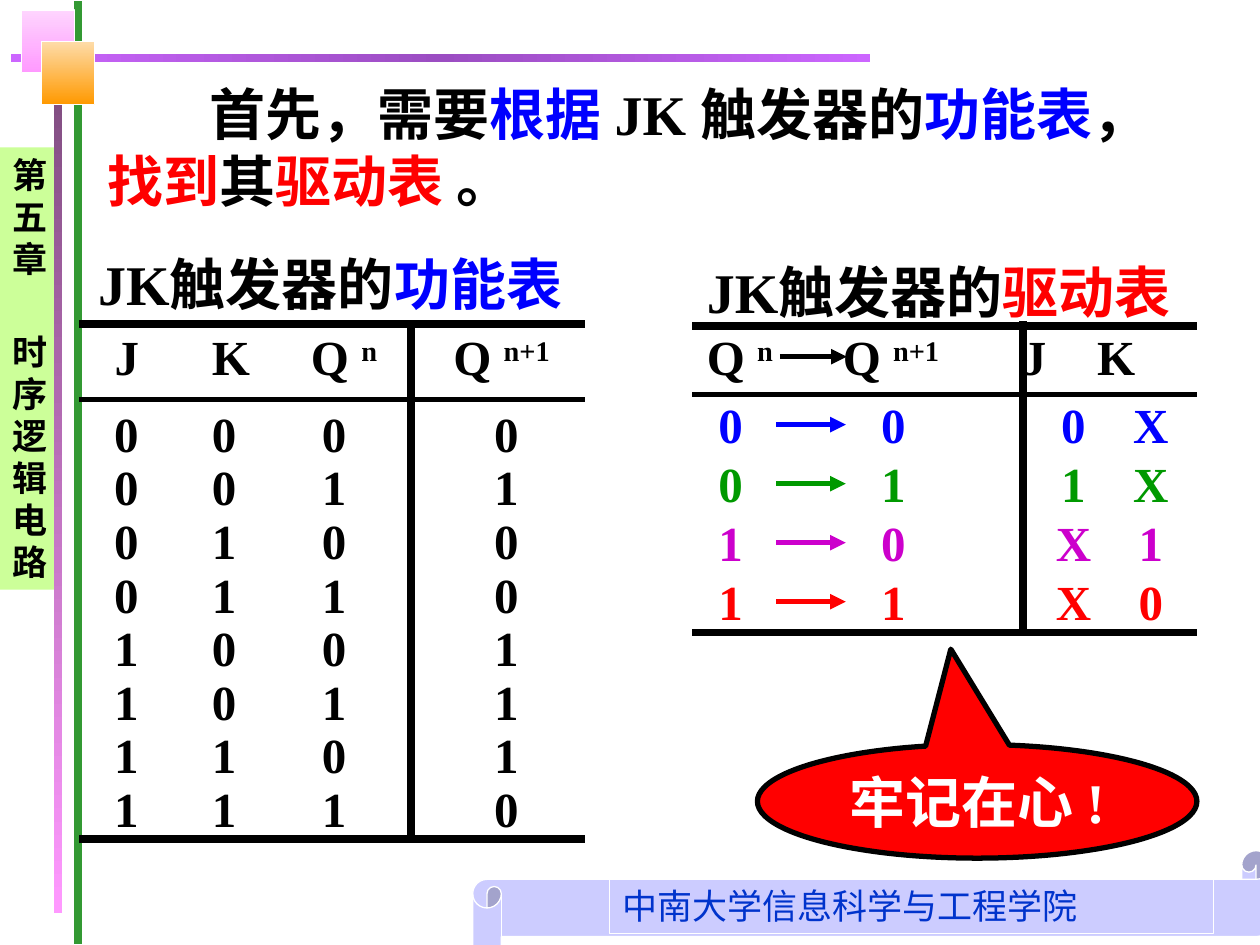
from dataclasses import dataclass, field
from copy import deepcopy
from typing import Any, Optional

from lxml import etree
from pptx import Presentation
from pptx import util as u
from pptx.dml import color as col
from pptx.enum import shapes as sh
from pptx.enum import text as tx
from pptx.oxml.ns import qn

Cm = u.Cm
Box = tuple[float, float, float, float]


@dataclass(frozen=True)
class Theme:
    face: str = "Times New Roman"
    sans: str = "Noto Sans CJK SC"
    black: str = "000000"
    white: str = "FFFFFF"
    blue: str = "0000FF"
    red: str = "FF0000"
    green: str = "009900"
    plum: str = "CC00CC"
    navy: str = "0033CC"
    leaf: str = "339933"
    lime: str = "CCFF99"
    mist: str = "CCCCFF"
    pink: tuple = ("FED5FE", "FF99FF")
    gold: tuple = ("FEDCA9", "FF9900")
    dusk: tuple = ("754675", "FF99FF")
    band: tuple = ("CC66FF", "9B4DC2", "CC66FF")
    head: int = 32
    body: int = 28
    small: int = 20
    thick: float = 4.5
    thin: float = 3
    hair: float = 0.75


T = Theme()


@dataclass
class Bit:
    text: str
    color: str = T.black
    sup: bool = False


@dataclass
class Block:
    box: Box
    bits: list[Bit]
    size: int = T.body
    tabs: tuple = ()
    align: Any = tx.PP_ALIGN.LEFT
    wrap: bool = True


@dataclass
class Panel:
    box: Box
    fill: Any
    kind: Any = sh.MSO_SHAPE.RECTANGLE
    line: Optional[str] = T.white
    width: float = T.hair
    tweaks: tuple = ()


@dataclass
class Rule:
    ends: Box
    width: float = T.thick
    color: str = T.black
    arrow: bool = False


@dataclass
class Grid:
    title: Block
    head: Block
    rules: list[Rule] = field(default_factory=list)


def apply(item: Any, **vals: Any) -> None:
    for key, val in vals.items():
        setattr(item, key, val)


def rgb(code: str) -> col.RGBColor:
    return col.RGBColor.from_string(code)


def paint(shape: Any, fill: Any) -> None:
    if isinstance(fill, str):
        shape.fill.solid()
        shape.fill.fore_color.rgb = rgb(fill)
        return
    shape.fill.gradient()
    shape.fill.gradient_angle = 270 if len(fill) == 2 else 0
    stops = shape._element.spPr.find(".//" + qn("a:gsLst"))
    for _ in fill[2:]:
        stops.append(deepcopy(stops[-1]))
    for num, (stop, code) in enumerate(zip(shape.fill.gradient_stops, fill)):
        stop.position = num / (len(fill) - 1)
        stop.color.rgb = rgb(code)


def stroke(line: Any, code: str, width: float) -> None:
    line.color.rgb = rgb(code)
    line.width = u.Pt(width)


def draw_panel(slide: Any, panel: Panel) -> Any:
    shape = slide.shapes.add_shape(panel.kind, *map(Cm, panel.box))
    shape.shadow.inherit = False
    for num, val in enumerate(panel.tweaks):
        shape.adjustments[num] = val
    paint(shape, panel.fill)
    if panel.line:
        stroke(shape.line, panel.line, panel.width)
    else:
        shape.line.fill.background()
    return shape


def draw_rule(slide: Any, rule: Rule) -> None:
    line = slide.shapes.add_connector(sh.MSO_CONNECTOR.STRAIGHT, *map(Cm, rule.ends))
    stroke(line.line, rule.color, rule.width)
    props = line._element.spPr
    if rule.arrow:
        etree.SubElement(props.find(qn("a:ln")), qn("a:tailEnd"), type="triangle")
    etree.SubElement(props, qn("a:effectLst"))


def set_frame(shape: Any, wrap: bool, anchor: Any) -> Any:
    frame = shape.text_frame
    apply(frame, word_wrap=wrap, auto_size=tx.MSO_AUTO_SIZE.NONE, vertical_anchor=anchor,
          margin_left=Cm(0.25), margin_right=Cm(0.25),
          margin_top=Cm(0.13), margin_bottom=Cm(0.13))
    return frame


def add_run(para: Any, bit: Bit, size: int, face: str = T.face, bold: bool = True) -> None:
    run = para.add_run()
    run.text = bit.text
    apply(run.font, name=face, size=u.Pt(size), bold=bold)
    run.font.color.rgb = rgb(bit.color)
    if bit.sup:
        run._r.get_or_add_rPr().set("baseline", "30000")


def write(shape: Any, block: Block) -> Any:
    frame = set_frame(shape, block.wrap, tx.MSO_ANCHOR.MIDDLE)
    para = frame.paragraphs[0]
    if block.tabs:
        stops = etree.SubElement(para._p.get_or_add_pPr(), qn("a:tabLst"))
        for pos in block.tabs:
            etree.SubElement(stops, qn("a:tab"), pos=str(Cm(pos)), algn="l")
    para.alignment = block.align
    for bit in block.bits:
        add_run(para, bit, block.size)
    return para


def draw_block(slide: Any, block: Block) -> None:
    write(slide.shapes.add_textbox(*map(Cm, block.box)), block)


def draw_grid(slide: Any, grid: Grid) -> None:
    draw_block(slide, grid.head)
    for rule in grid.rules:
        draw_rule(slide, rule)
    draw_block(slide, grid.title)


def draw_frame(slide: Any) -> None:
    for panel in (
        Panel((1.47, 0, 0.2, 19.05), T.leaf),
        Panel((9.53, 17.15, 16.08, 2.31), T.mist, sh.MSO_SHAPE.HORIZONTAL_SCROLL, tweaks=(0.25,)),
        Panel((0.2, 1.07, 17.35, 0.2), T.band, sh.MSO_SHAPE.FLOWCHART_PROCESS),
        Panel((1.07, 0.2, 0.2, 18.21), T.dusk),
        Panel((0.43, 0.2, 1.07, 1.27), T.pink),
        Panel((0.84, 0.84, 1.07, 1.27), T.gold),
    ):
        draw_panel(slide, panel)
    foot = slide.shapes.add_textbox(*map(Cm, (12.29, 17.7, 12.17, 1.12)))
    stroke(foot.line, T.white, T.hair)
    frame = set_frame(foot, True, tx.MSO_ANCHOR.TOP)
    add_run(frame.paragraphs[0], Bit("中南大学信息科学与工程学院", T.navy), T.small, bold=False)
    side = draw_panel(slide, Panel((0, 2.97, 1.09, 8.92), T.lime, line=None))
    frame = set_frame(side, True, tx.MSO_ANCHOR.TOP)
    for num, words in enumerate(("第五章", "时序逻辑电路")):
        para = frame.add_paragraph() if num else frame.paragraphs[0]
        apply(para, alignment=tx.PP_ALIGN.JUSTIFY, line_spacing=u.Pt(24),
              space_before=u.Pt(29 * num))
        add_run(para, Bit(words), T.small, T.sans)


def draw_title(slide: Any) -> None:
    box = (1.91, 1.47, 21.49, 2.97)
    title = slide.shapes.title
    apply(title, **dict(zip(("left", "top", "width", "height"), map(Cm, box))))
    para = write(title, Block(box, [
        Bit("首先，需要"), Bit("根据 ", T.blue), Bit("JK 触发器的"), Bit("功能表", T.blue),
        Bit("，"), Bit("找到", T.red), Bit("其"), Bit("驱动表", T.red), Bit(" 。")], T.head))
    para._p.get_or_add_pPr().set("indent", str(Cm(2.06)))


def draw_truth(slide: Any) -> None:
    for num in range(8):
        j, k, q = num >> 2, num >> 1 & 1, num & 1
        after = int(j and not q or not k and q)
        draw_block(slide, Block((1.33, 8 + 1.08 * num, 11.46, 1.45),
                                [Bit(f"\t{j}\t{k}\t{q}\t{after}")],
                                tabs=(0.72, 2.69, 4.91, 8.38)))
    draw_grid(slide, Grid(
        Block((1.73, 4.9, 10.13, 1.63), [Bit("JK触发器的"), Bit("功能表", T.blue)],
              T.head, wrap=False),
        Block((2.06, 6.38, 12.32, 1.6),
              [Bit("J\tK\tQ "), Bit("n", sup=True), Bit("\tQ "), Bit("n+1", sup=True)],
              tabs=(1.96, 3.96, 6.83)),
        [Rule((1.6, 6.53, 11.79, 6.53)), Rule((8.28, 6.6, 8.28, 16.99)),
         Rule((1.6, 8.05, 11.79, 8.05), T.thin), Rule((1.6, 16.92, 11.79, 16.92))]))


def draw_drive(slide: Any) -> None:
    draw_grid(slide, Grid(
        Block((14, 5.05, 10.13, 1.63), [Bit("JK触发器的"), Bit("驱动表", T.red)],
              T.head, wrap=False),
        Block((14, 6.38, 11.4, 1.6),
              [Bit("Q "), Bit("n", sup=True), Bit("\tQ "), Bit("n+1", sup=True),
               Bit("\tJ\tK")], tabs=(2.74, 6.35, 7.87)),
        [Rule((13.95, 6.58, 24.13, 6.58)), Rule((20.62, 6.48, 20.62, 12.75)),
         Rule((13.95, 7.95, 24.13, 7.95), T.thin), Rule((13.95, 12.75, 24.13, 12.75)),
         Rule((15.72, 7.19, 17.07, 7.19), T.thin, arrow=True)]))
    rows = (("000X", T.blue), ("011X", T.green), ("10X1", T.plum), ("11X0", T.red))
    for num, (marks, code) in enumerate(rows):
        drop = 1.19 * num
        for mid, mark in zip((14.73, 18.01, 21.64, 23.2), marks):
            draw_block(slide, Block((mid - 0.64, 7.82 + drop, 1.28, 1.45), [Bit(mark, code)],
                                    align=tx.PP_ALIGN.CENTER))
        draw_rule(slide, Rule((15.65, 8.56 + drop, 17.05, 8.56 + drop), T.thin, code, True))


def main() -> None:
    deck = Presentation()
    apply(deck, slide_width=Cm(25.4), slide_height=Cm(19.05))
    slide = deck.slides.add_slide(deck.slide_layouts[5])
    draw_frame(slide)
    draw_title(slide)
    draw_truth(slide)
    draw_drive(slide)
    box = (15.27, 15.01, 8.86, 2.29)
    call = draw_panel(slide, Panel(box, T.red, sh.MSO_SHAPE.OVAL_CALLOUT, T.black, T.thin,
                                   (-0.06, -1.34)))
    write(call, Block(box, [Bit("牢记在心 !", T.white)], T.head,
                      align=tx.PP_ALIGN.CENTER, wrap=False))
    deck.save("out.pptx")


if __name__ == "__main__":
    main()
